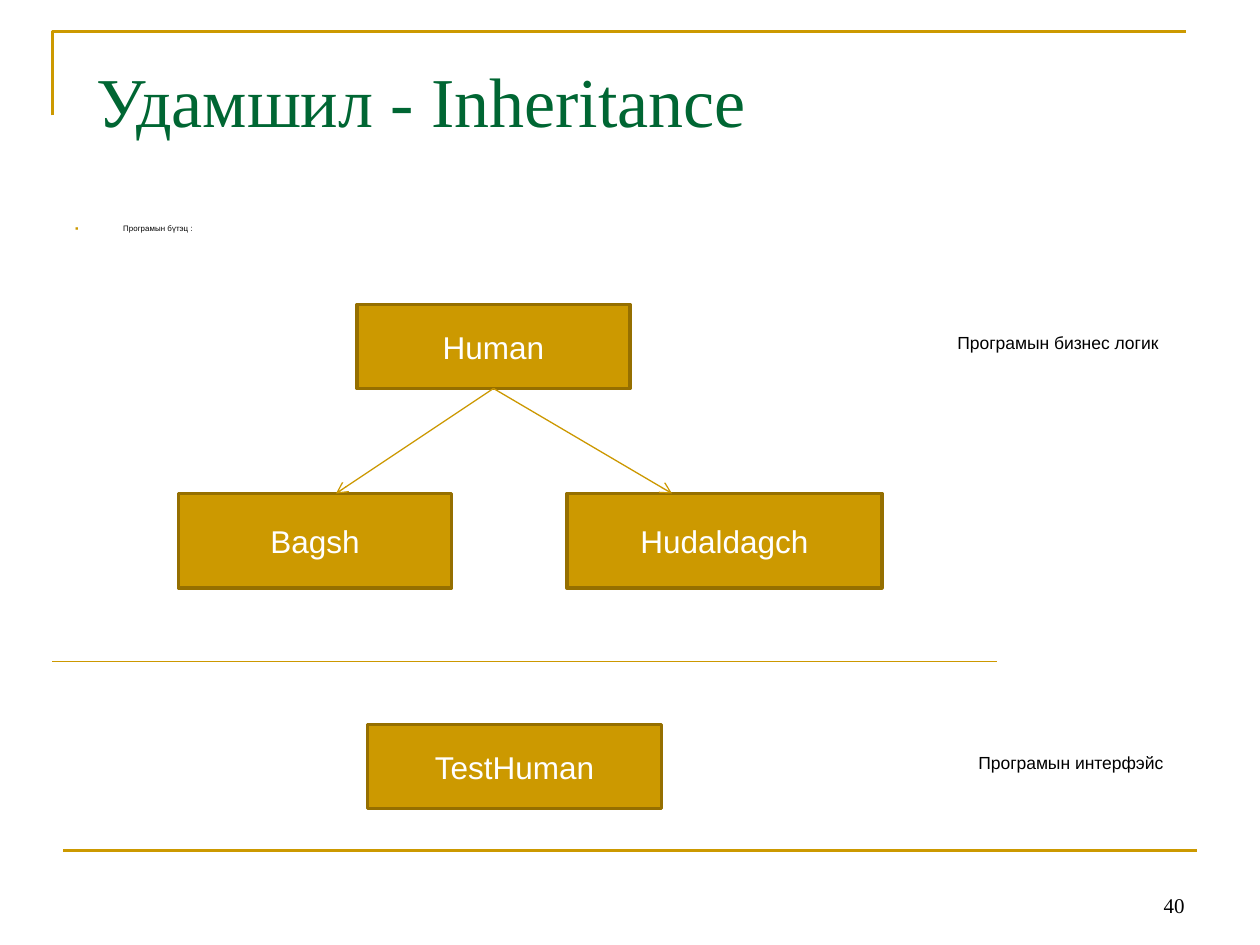
import dataclasses

import lxml.etree
import pptx
import pptx.dml.color
import pptx.enum.shapes
import pptx.enum.text
import pptx.oxml.ns
import pptx.util

Inches, Pt = pptx.util.Inches, pptx.util.Pt
Align, Anchor = pptx.enum.text.PP_ALIGN, pptx.enum.text.MSO_ANCHOR
COLUMNS, ROWS = 120, 90  # grid over the whole slide
WIDTH, HEIGHT = Inches(10), Inches(7.5)


@dataclasses.dataclass(frozen=True)
class Theme:
    accent: str = "CC9900"
    edge: str = "956F00"
    arrow: str = "CC9800"
    heading: str = "006633"
    ink: str = "000000"
    paper: str = "FFFFFF"
    serif: str = "Times New Roman"
    sans: str = "Arial"
    title_size: float = 40
    class_size: float = 18
    number_size: float = 12
    label_size: float = 10
    intro_size: float = 4.5
    rule: float = 1.5
    border: float = 2
    hairline: float = 0.75


THEME = Theme()


def color(code):
    return pptx.dml.color.RGBColor.from_string(code)


def grid_x(column):
    return round(WIDTH * column / COLUMNS)


def grid_y(row):
    return round(HEIGHT * row / ROWS)


def place(box):
    """Turn (column, row, columns, rows) into slide lengths."""
    left, top, width, height = box
    return grid_x(left), grid_y(top), grid_x(width), grid_y(height)


def apply(target, values):
    for name, value in values.items():
        setattr(target, name, value)


def write(shape, text, size, font, ink, align=Align.LEFT, **frame_values):
    frame = shape.text_frame
    apply(frame, {"word_wrap": True, "auto_size": pptx.enum.text.MSO_AUTO_SIZE.NONE,
                  "vertical_anchor": Anchor.TOP, **frame_values})
    para = frame.paragraphs[0]
    para.alignment = align
    span = para.add_run()
    span.text = text
    apply(span.font, {"size": Pt(size), "name": font})
    span.font.color.rgb = color(ink)
    return para


def set_line(shape, ink, width):
    shape.line.color.rgb = color(ink)
    shape.line.width = Pt(width)


def add_rule(page, start, end, ink, width, arrow=False):
    line = page.shapes.add_connector(
        pptx.enum.shapes.MSO_CONNECTOR.STRAIGHT,
        grid_x(start[0]), grid_y(start[1]), grid_x(end[0]), grid_y(end[1]))
    set_line(line, ink, width)
    qn = pptx.oxml.ns.qn
    if arrow:
        lxml.etree.SubElement(line.line._get_or_add_ln(), qn("a:tailEnd"), type="arrow")
    lxml.etree.SubElement(line._element.spPr, qn("a:effectLst"))


def add_text(page, box, *text_values, **frame_values):
    return write(page.shapes.add_textbox(*place(box)), *text_values, **frame_values)


def add_frame(page, box):
    """Corner line at the top left and a rule near the foot."""
    left, top, width, height = box
    builder = page.shapes.build_freeform(grid_x(left), grid_y(top + 8))
    builder.add_line_segments(
        [(grid_x(left), grid_y(top)), (grid_x(left + width), grid_y(top))], close=False)
    corner = builder.convert_to_shape()
    corner.fill.background()
    corner.shadow.inherit = False
    set_line(corner, THEME.accent, THEME.rule)
    foot = top + height
    add_rule(page, (left + 1, foot), (left + 1 + width, foot), THEME.accent, THEME.rule)


def add_title(page, box, text):
    title = page.shapes.title
    apply(title, dict(zip(("left", "top", "width", "height"), place(box))))
    write(title, text, THEME.title_size, THEME.serif, THEME.heading,
          margin_top=Inches(0.12))


def add_intro(page, box, text):
    para = add_text(page, box, text, THEME.intro_size, THEME.sans, THEME.ink)
    para.line_spacing = 0.7
    qn = pptx.oxml.ns.qn
    props = para._p.get_or_add_pPr()
    props.set("marL", str(Inches(0.38)))
    props.set("indent", str(-Inches(0.38)))
    bullet_color = lxml.etree.SubElement(props, qn("a:buClr"))
    lxml.etree.SubElement(bullet_color, qn("a:srgbClr"), val=THEME.accent)
    lxml.etree.SubElement(props, qn("a:buSzPct"), val="65000")
    lxml.etree.SubElement(props, qn("a:buFont"), typeface=THEME.sans)
    lxml.etree.SubElement(props, qn("a:buChar"), char="■")


def add_class(page, box, name):
    shape = page.shapes.add_shape(pptx.enum.shapes.MSO_SHAPE.RECTANGLE, *place(box))
    shape.shadow.inherit = False
    shape.fill.solid()
    shape.fill.fore_color.rgb = color(THEME.accent)
    set_line(shape, THEME.edge, THEME.border)
    write(shape, name, THEME.class_size, THEME.sans, THEME.paper, Align.CENTER,
          vertical_anchor=Anchor.MIDDLE)


def add_class_tree(page, box):
    """Parent class over its two children, joined by arrows."""
    left, top, width, height = box
    parent_height, child_height = 8, 9
    child_top = top + height - child_height
    add_class(page, (left + 17, top, 26, parent_height), "Human")
    add_class(page, (left, child_top, 26, child_height), "Bagsh")
    add_class(page, (left + width - 30, child_top, 30, child_height), "Hudaldagch")
    for target in (left + 15, left + 47):
        add_rule(page, (left + 30, top + parent_height), (target, child_top),
                 THEME.arrow, THEME.hairline, arrow=True)


def add_label(page, box, text):
    add_text(page, box, text, THEME.label_size, THEME.sans, THEME.ink)


def add_number(page, box, text):
    add_text(page, box, text, THEME.number_size, THEME.serif, THEME.ink, Align.RIGHT,
             vertical_anchor=Anchor.BOTTOM)


def build_inheritance(deck):
    page = deck.slides.add_slide(deck.slide_layouts[5])
    add_frame(page, (5, 3, 108, 78))
    add_number(page, (86, 82, 28, 6), "40")
    add_title(page, (8, 4, 108, 11.4), "Удамшил - Inheritance")
    add_intro(page, (6, 21, 108, 5), "Програмын бүтэц :")
    add_class_tree(page, (17, 29, 67, 27))
    add_label(page, (90, 31, 23, 3.2), "Програмын бизнес логик")
    add_rule(page, (5, 63), (95, 63), THEME.arrow, THEME.hairline)
    add_class(page, (35, 69, 28, 8), "TestHuman")
    add_label(page, (92, 71, 23, 3.2), "Програмын интерфэйс")


def main():
    deck = pptx.Presentation()
    apply(deck, {"slide_width": WIDTH, "slide_height": HEIGHT})
    build_inheritance(deck)
    deck.save("out.pptx")


if __name__ == "__main__":
    main()
